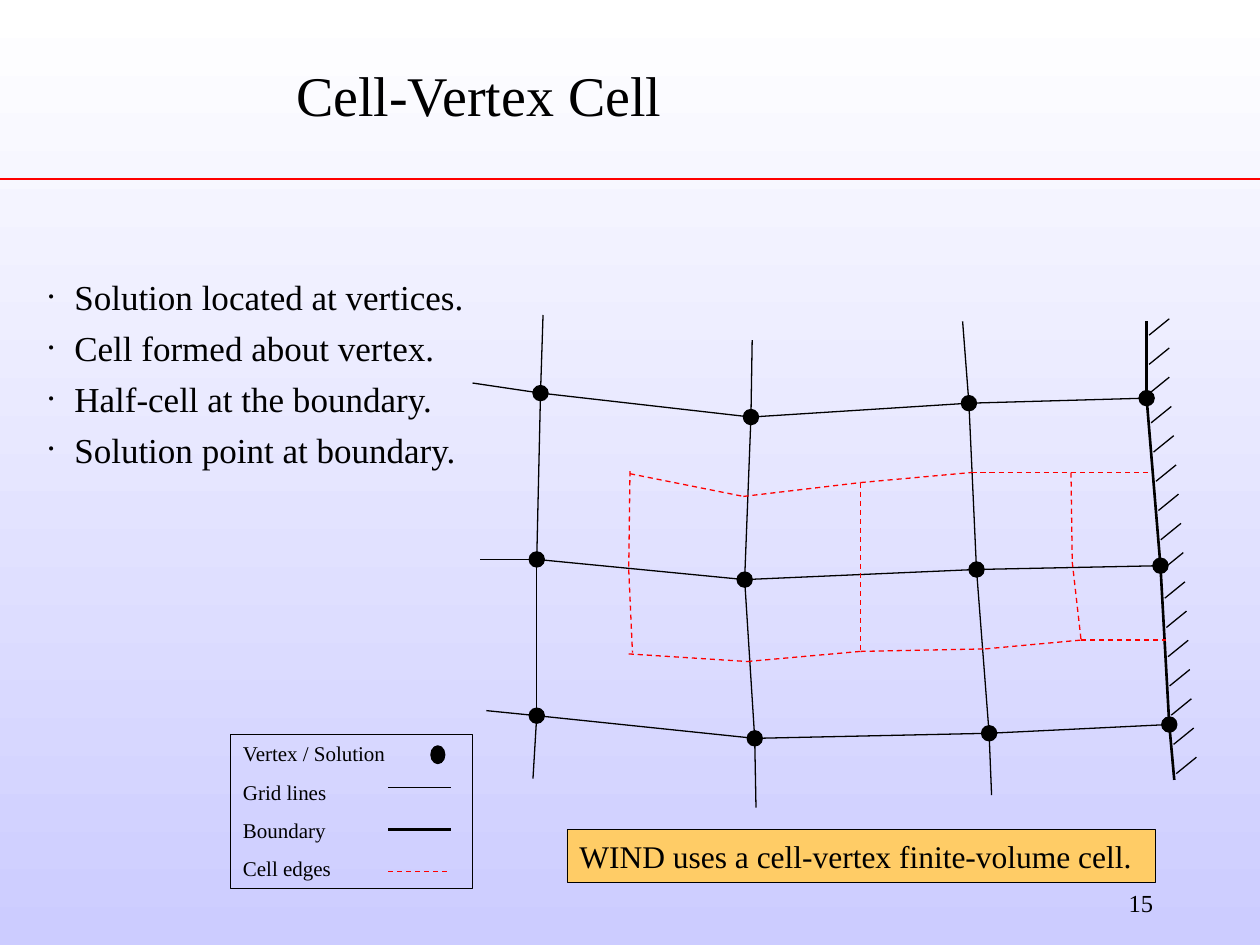
"""Build the Cell-Vertex Cell slide with its grid diagram and legend."""
from itertools import pairwise

from lxml import etree
from pptx import Presentation
from pptx.dml.color import RGBColor
from pptx.enum.dml import MSO_LINE
from pptx.enum.shapes import MSO_CONNECTOR, MSO_SHAPE
from pptx.enum.text import MSO_ANCHOR, MSO_AUTO_SIZE, PP_ALIGN
from pptx.oxml.ns import qn
from pptx.util import Inches, Pt

STRAIGHT = MSO_CONNECTOR.STRAIGHT
OVAL, RECTANGLE = MSO_SHAPE.OVAL, MSO_SHAPE.RECTANGLE
DASH = MSO_LINE.DASH
LEFT, RIGHT = PP_ALIGN.LEFT, PP_ALIGN.RIGHT
TOP, MIDDLE = MSO_ANCHOR.TOP, MSO_ANCHOR.MIDDLE
NO_AUTOFIT = MSO_AUTO_SIZE.NONE

FONT = "Times New Roman"
COLORS = {"ink": "000000", "red": "FF0000", "callout": "FFCC66",
          "sky_top": "FFFFFF", "sky_bottom": "CCCCFF"}
GRID = {"color": "ink", "width": 0.75}
WALL = {"color": "ink", "width": 1.5}
EDGE = {"color": "red", "width": 0.75, "dash": DASH}

TITLE = "Cell-Vertex Cell"
BULLETS = ["Solution located at vertices.", "Cell formed about vertex.",
           "Half-cell at the boundary.", "Solution point at boundary."]
LEGEND = ["Vertex / Solution", "Grid lines", "Boundary", "Cell edges"]
LEGEND_STYLES = [GRID, WALL, EDGE]
CALLOUT = "WIND uses a cell-vertex finite-volume cell."
PAGE_NUMBER = "15"

VERTICES = [
    [(4.29, 3.12), (5.96, 3.31), (7.69, 3.2), (9.1, 3.16)],
    [(4.26, 4.44), (5.91, 4.6), (7.75, 4.52), (9.21, 4.49)],
    [(4.26, 5.68), (5.99, 5.86), (7.85, 5.82), (9.28, 5.75)],
]
LEFT_ENDS = [(3.75, 3.04), (3.81, 4.44), (3.86, 5.64)]
TOP_ENDS = [(4.31, 2.5), (5.97, 2.7), (7.64, 2.55), (9.1, 2.55)]
BOTTOM_ENDS = [(4.23, 6.18), (6, 6.41), (7.87, 6.31), (9.32, 6.19)]
DOT = 0.12

HATCH_COUNT, HATCH_TOP, HATCH_BOTTOM = 16, 2.66, 6.14
HATCH_GAP, HATCH_WIDTH, HATCH_RISE = 0.02, 0.16, 0.13

CELL_EDGES = [
    [(5, 3.76), (5.9, 3.94), (6.83, 3.83), (7.71, 3.75), (8.5, 3.75), (9.14, 3.75)],
    [(4.99, 5.19), (5.93, 5.25), (6.83, 5.17), (7.82, 5.15), (8.58, 5.08), (9.25, 5.08)],
    [(5, 3.74), (4.99, 4.52), (5.02, 5.18)],
    [(6.83, 3.83), (6.83, 5.17)],
    [(8.5, 3.75), (8.51, 4.46), (8.58, 5.08)],
]


def rgb(name):
    return RGBColor.from_string(COLORS[name])


def write(shape, lines, size, align=LEFT, anchor=TOP, space=0, bullet=None, wrap=True):
    frame = shape.text_frame
    frame.word_wrap = wrap
    frame.auto_size = NO_AUTOFIT
    frame.vertical_anchor = anchor
    for index, line in enumerate(lines):
        para = frame.paragraphs[0] if index == 0 else frame.add_paragraph()
        para.alignment = align
        para.space_before = Pt(space if index else 0)
        if bullet:
            properties = para._p.get_or_add_pPr()
            properties.set("marL", str(Inches(0.23)))
            properties.set("indent", str(-Inches(0.23)))
            etree.SubElement(properties, qn("a:buFont")).set("typeface", FONT)
            etree.SubElement(properties, qn("a:buChar")).set("char", bullet)
        span = para.add_run()
        span.text = line
        span.font.name, span.font.size = FONT, Pt(size)
        span.font.color.rgb = rgb("ink")


def place(shape, left, top, width, height):
    shape.left, shape.top = Inches(left), Inches(top)
    shape.width, shape.height = Inches(width), Inches(height)


def add_line(shapes, start, end, color, width, dash=None):
    line = shapes.add_connector(STRAIGHT, *map(Inches, (*start, *end)))
    line.line.color.rgb = rgb(color)
    line.line.width = Pt(width)
    if dash:
        line.line.dash_style = dash
    etree.SubElement(line._element.spPr, qn("a:effectLst"))


def add_chain(shapes, points, style):
    for start, end in pairwise(points):
        add_line(shapes, start, end, **style)


def add_box(shapes, kind, area, fill=None, width=0.75):
    box = shapes.add_shape(kind, *map(Inches, area))
    box.shadow.inherit = False
    if fill:
        box.fill.solid()
        box.fill.fore_color.rgb = rgb(fill)
    else:
        box.fill.background()
    box.line.color.rgb = rgb("ink")
    box.line.width = Pt(width)
    return box


def paint_background(page):
    fill = page.background.fill
    fill.gradient()
    fill.gradient_angle = 270
    for stop, position, name in zip(fill.gradient_stops, (0, 1), ("sky_top", "sky_bottom")):
        stop.position = position
        stop.color.rgb = rgb(name)


def draw_legend(shapes):
    for index, style in enumerate(LEGEND_STYLES):
        y = 6.25 + index / 3
        add_line(shapes, (3.08, y), (3.58, y), **style)
    add_box(shapes, OVAL, (3.42, 5.92, 0.11, 0.14), fill="ink")
    box = add_box(shapes, RECTANGLE, (1.83, 5.83, 1.92, 1.22))
    write(box, LEGEND, 12, space=7.5)


def wall_x(wall, y):
    for (x1, y1), (x2, y2) in pairwise(wall):
        if y <= y2:
            return x1 + (x2 - x1) * (y - y1) / (y2 - y1)
    return wall[-1][0]


def draw_hatching(shapes, wall):
    step = (HATCH_BOTTOM - HATCH_TOP) / (HATCH_COUNT - 1)
    for index in range(HATCH_COUNT):
        y = HATCH_TOP + index * step
        x = wall_x(wall, y) + HATCH_GAP
        add_line(shapes, (x, y), (x + HATCH_WIDTH, y - HATCH_RISE), **GRID)


def draw_grid(shapes):
    for left_end, row in zip(LEFT_ENDS, VERTICES):
        add_chain(shapes, [left_end, *row], GRID)
    *columns, wall = zip(TOP_ENDS, *VERTICES, BOTTOM_ENDS)
    for column in columns:
        add_chain(shapes, column, GRID)
    add_chain(shapes, wall, WALL)
    draw_hatching(shapes, wall)
    for points in CELL_EDGES:
        add_chain(shapes, points, EDGE)
    for row in VERTICES:
        for x, y in row:
            add_box(shapes, OVAL, (x - DOT / 2, y - DOT / 2, DOT, DOT), fill="ink")


def main():
    deck = Presentation()
    deck.slide_width, deck.slide_height = Inches(10), Inches(7.5)
    page = deck.slides.add_slide(deck.slide_layouts[1])
    paint_background(page)
    shapes = page.shapes
    add_line(shapes, (0, 1.42), (10, 1.42), "red", 1.5)

    title, body = page.placeholders
    place(title, 2.25, 0.33, 7.33, 0.83)
    write(title, [TITLE], 32, anchor=MIDDLE)
    place(body, 0.26, 2.14, 3.74, 1.83)
    write(body, BULLETS, 20, space=5, bullet="·")

    draw_legend(shapes.add_group_shape().shapes)
    callout = add_box(shapes, RECTANGLE, (4.5, 6.58, 4.67, 0.42), "callout", 0.25)
    write(callout, [CALLOUT], 18, anchor=MIDDLE, wrap=False)
    draw_grid(shapes.add_group_shape().shapes)

    number = shapes.add_textbox(*map(Inches, (7.17, 7, 2.08, 0.4)))
    write(number, [PAGE_NUMBER], 14, align=RIGHT)
    deck.save("out.pptx")


if __name__ == "__main__":
    main()
